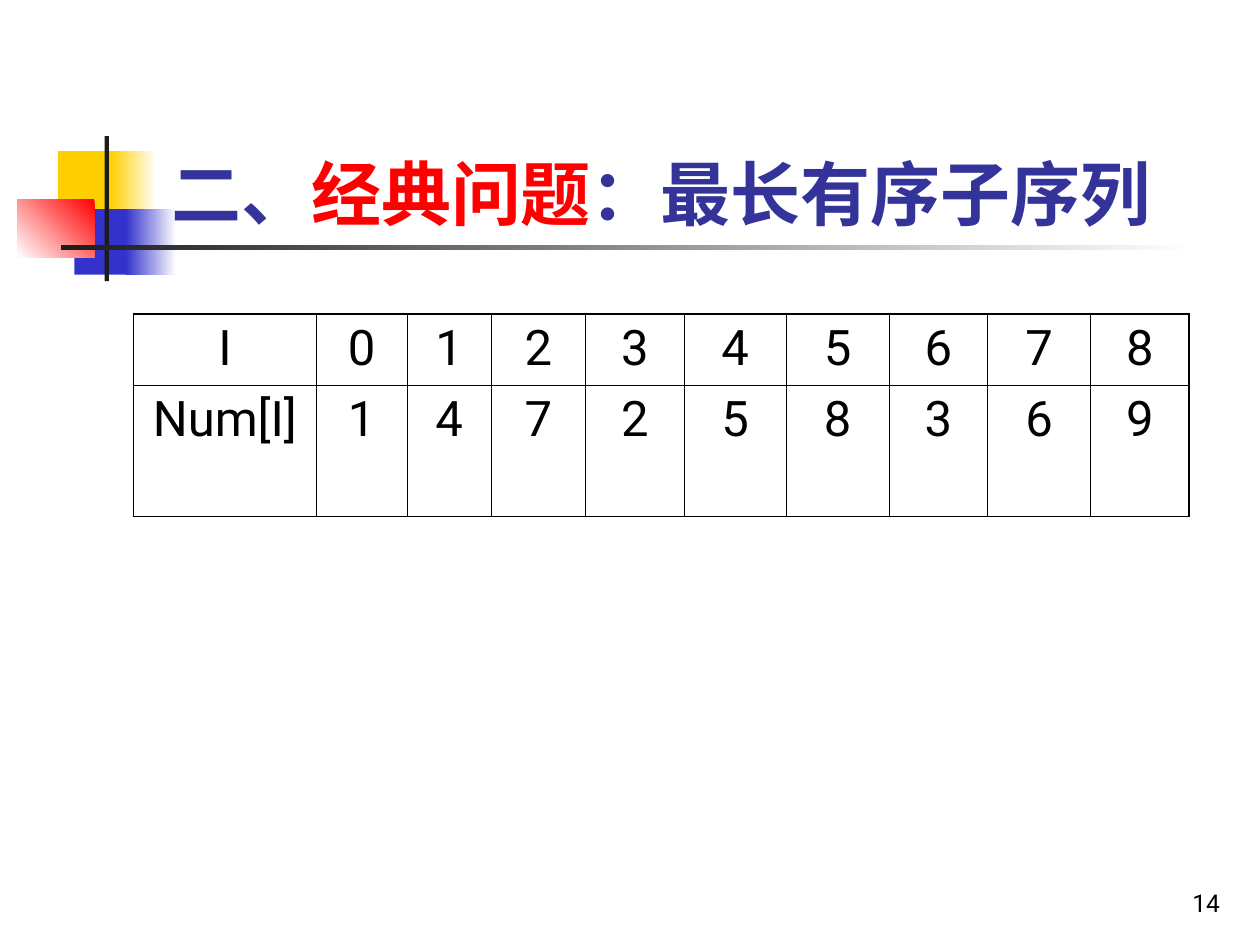
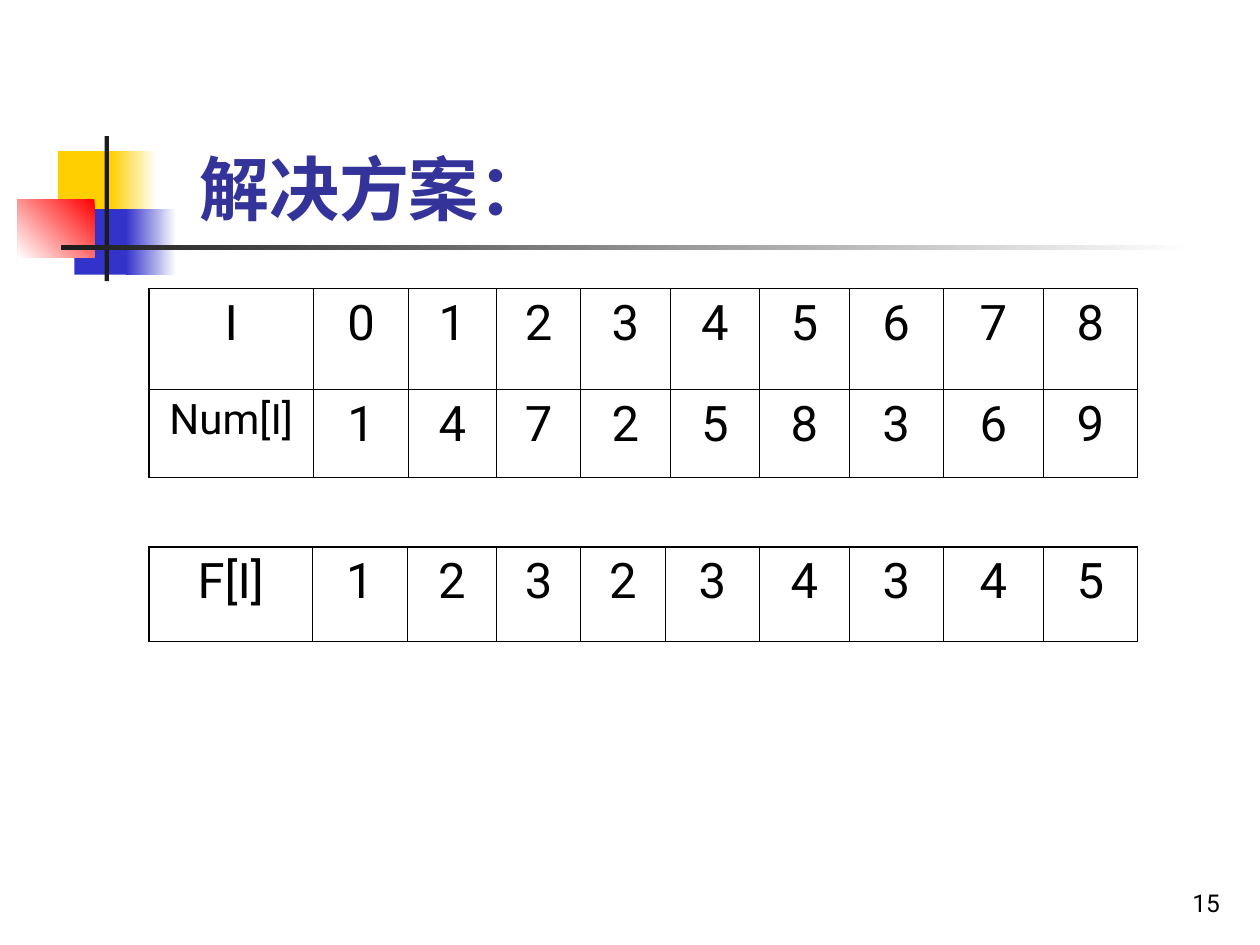
"""Build two slides on the longest ordered subsequence problem."""
from lxml import etree
from pptx import Presentation
from pptx.dml.color import RGBColor
from pptx.enum.lang import MSO_LANGUAGE_ID
from pptx.enum.shapes import MSO_SHAPE
from pptx.enum.text import MSO_ANCHOR, PP_ALIGN
from pptx.oxml.ns import qn
from pptx.util import Pt

RECT = MSO_SHAPE.RECTANGLE
BOTTOM = MSO_ANCHOR.BOTTOM
LEFT, CENTER, RIGHT = PP_ALIGN.LEFT, PP_ALIGN.CENTER, PP_ALIGN.RIGHT
CHINESE = MSO_LANGUAGE_ID.SIMPLIFIED_CHINESE

FONT = "Roboto"
BLACK = RGBColor(0x00, 0x00, 0x00)
WHITE = RGBColor(0xFF, 0xFF, 0xFF)
RED = RGBColor(0xFF, 0x00, 0x00)
GOLD = RGBColor(0xFF, 0xCF, 0x01)
BLUE = RGBColor(0x33, 0x33, 0xCC)
NAVY = RGBColor(0x33, 0x33, 0x99)
DARK = RGBColor(0x1C, 0x1C, 0x1C)
THICK, THIN = 1.08, 0.45

DECOR = [
    ((33.1, 86.4, 34.6, 37.4), [GOLD], 0),
    ((63.4, 86.4, 25.9, 37.4), [WHITE, GOLD], 180),
    ((42.5, 119.5, 33.1, 37.4), [BLUE], 0),
    ((72, 119.5, 28.8, 37.4), [WHITE, BLUE], 180),
    ((10.1, 113.8, 43.9, 33.1), [RED, WHITE], 225),
    ((59.8, 77.8, 2.5, 82.8), [DARK], 0),
    ((34.6, 140.2, 648, 2.5), [WHITE, DARK], 180),
]

INDEX = ["I", *"012345678"]
NUMS = ["Num[I]", *"147258369"]
BEST = ["F[I]", *"123234345"]

SLIDES = [
    {
        "page": "14",
        "place": (90.7, 65.5, 613.4, 72),
        "title": [("二、", NAVY), ("经典问题", RED), ("：最长有序子序列", NAVY)],
        "tables": [
            ((76.3, 179.3),
             [104.4, 51.8, 48.2, 54, 56.2, 58.3, 59, 56.2, 59, 56.2],
             [(40.9, 28, INDEX), (74.9, 28, NUMS)]),
        ],
    },
    {
        "page": "15",
        "place": (106.6, 79.9, 401, 54.7),
        "title": [("解决方案：", NAVY)],
        "tables": [
            ((85, 164.9),
             [94.3, 54, 50.4, 48.2, 51.1, 51.1, 51.1, 54, 56.9, 54],
             [(57.6, 28, INDEX), (50.4, 24, NUMS)]),
            ((85, 312.5),
             [93.6, 54, 51.1, 48.2, 48.2, 54, 51.1, 54, 56.9, 54],
             [(54, 28, BEST)]),
        ],
    },
]


def add_run(para, text, size, color, bold=False):
    """Add one styled run to a paragraph."""
    run = para.add_run()
    run.text = text
    font = run.font
    font.name, font.size, font.bold = FONT, Pt(size), bold
    font.color.rgb = color
    font.language_id = CHINESE


def add_edge(cell, side, width):
    """Draw one black border of a table cell."""
    props = cell._tc.get_or_add_tcPr()
    line = etree.SubElement(props, qn(f"a:ln{side}"), w=str(Pt(width)))
    fill = etree.SubElement(line, qn("a:solidFill"))
    etree.SubElement(fill, qn("a:srgbClr"), val=str(BLACK))


prs = Presentation()
prs.slide_width, prs.slide_height = Pt(720), Pt(540)
layout = prs.slide_layouts[5]
pages = [prs.slides.add_slide(layout) for _ in SLIDES]

for place, colors, angle in DECOR:
    shape = pages[0].shapes.add_shape(RECT, *map(Pt, place))
    shape.shadow.inherit = False
    shape.line.fill.background()
    if len(colors) == 1:
        shape.fill.solid()
        shape.fill.fore_color.rgb = colors[0]
    else:
        shape.fill.gradient()
        shape.fill.gradient_angle = angle
        for stop, color in zip(shape.fill.gradient_stops, colors):
            stop.color.rgb = color
    layout.shapes.element.append(shape.element)

for slide, data in zip(pages, SLIDES):
    title = slide.shapes.title
    title.left, title.top, title.width, title.height = map(Pt, data["place"])
    frame = title.text_frame
    frame.word_wrap = True
    frame.vertical_anchor = BOTTOM
    para = frame.paragraphs[0]
    para.alignment = LEFT
    for text, color in data["title"]:
        add_run(para, text, 40, color, True)

    for spot, widths, rows in data["tables"]:
        high = sum(row[0] for row in rows)
        size = (sum(widths), high)
        table = slide.shapes.add_table(
            len(rows), len(widths), *map(Pt, spot + size)).table
        table.first_row = table.horz_banding = False
        for col, width in zip(table.columns, widths):
            col.width = Pt(width)
        for r, (height, head, texts) in enumerate(rows):
            table.rows[r].height = Pt(height)
            for c, text in enumerate(texts):
                cell = table.cell(r, c)
                outer = {"L": c == 0, "R": c == len(widths) - 1,
                         "T": r == 0, "B": r == len(rows) - 1}
                for side, edge in outer.items():
                    add_edge(cell, side, THICK if edge else THIN)
                cell.fill.background()
                para = cell.text_frame.paragraphs[0]
                para.alignment = CENTER
                add_run(para, text, 28 if c else head, BLACK)

    box = slide.shapes.add_textbox(Pt(554.4), Pt(491.8), Pt(149.8), Pt(36))
    frame = box.text_frame
    frame.word_wrap = True
    frame.vertical_anchor = BOTTOM
    para = frame.paragraphs[0]
    para.alignment = RIGHT
    add_run(para, data["page"], 14, BLACK)

prs.save("out.pptx")
